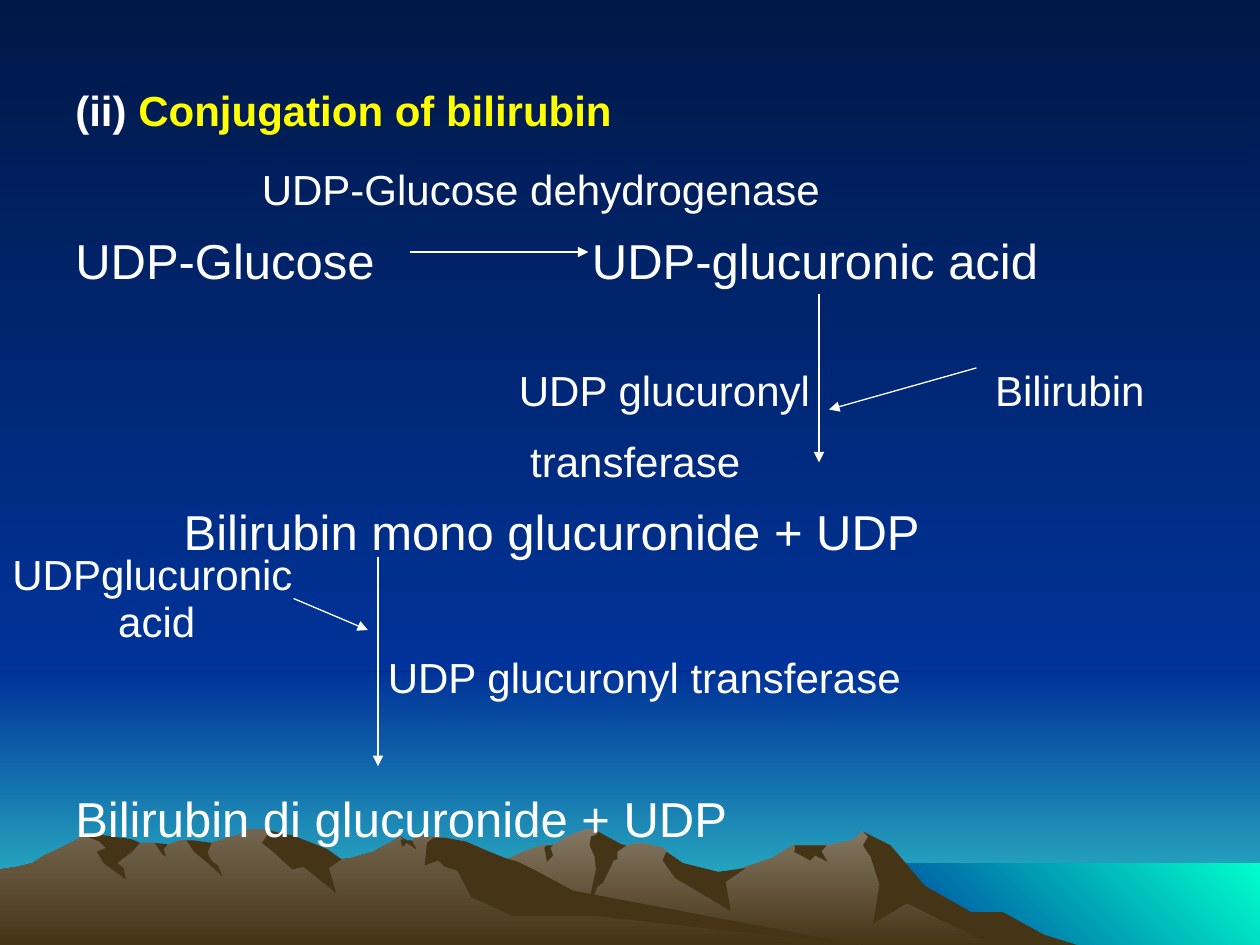
import dataclasses

import pptx
import pptx.dml.color
import pptx.enum.shapes
import pptx.oxml
import pptx.oxml.ns
import pptx.util

PX = 9144
WIDTH, HEIGHT = 1000, 750
DOWN, UP_RIGHT = 270, 45


@dataclasses.dataclass(frozen=True)
class Theme:
    font: str = "Arial"
    text: str = "FFFFFF"
    accent: str = "FFFF00"
    night: str = "001847"
    sea: str = "003399"
    horizon: str = "33CCCC"
    lagoon: str = "00FFCC"
    rock: str = "463416"
    slope: str = "73654F"
    far_slope: str = "847864"
    label: int = 24
    body: int = 28
    line: float = 0.75


THEME = Theme()

FAR_RIDGE = [
    (802, 740), (778, 727), (764, 723), (723, 698), (702, 671), (685, 660), (676, 667),
    (656, 671), (629, 671), (613, 681), (566, 697), (536, 690), (529, 676), (526, 673),
    (509, 669), (497, 671), (486, 673), (474, 661), (471, 658), (465, 658), (450, 664),
    (444, 668), (438, 671), (430, 671), (418, 675), (405, 681), (394, 685), (355, 698),
    (327, 709), (277, 739), (258, 751), (821, 751),
]
FAR_SHADOWS = [
    [(796, 724), (771, 724), (734, 703), (707, 671), (685, 660), (689, 664), (685, 671),
     (691, 680), (698, 702), (693, 733), (720, 717), (792, 752), (858, 751), (829, 742)],
    [(471, 658), (474, 662), (469, 664), (468, 671), (472, 680), (473, 690), (465, 727),
     (474, 704), (479, 700), (487, 683), (490, 682), (490, 676), (497, 671), (493, 670)],
    [(529, 676), (528, 678), (526, 683), (536, 697), (580, 723), (576, 700), (592, 689),
     (570, 692), (542, 685)],
    [(650, 671), (630, 671), (631, 672), (631, 675), (630, 676), (643, 683), (647, 679),
     (657, 684), (652, 676), (656, 671)],
    [(433, 677), (432, 673), (434, 671), (438, 671), (439, 670), (437, 673), (439, 679),
     (434, 684)],
]
NEAR_RIDGE = [
    (690, 751), (667, 748), (432, 712), (354, 665), (331, 663), (327, 668), (323, 668),
    (318, 664), (296, 676), (279, 681), (271, 682), (260, 676), (236, 681), (223, 663),
    (219, 660), (212, 658), (196, 658), (191, 662), (180, 665), (168, 669), (160, 671),
    (148, 667), (143, 667), (132, 671), (128, 671), (123, 669), (111, 669), (94, 671),
    (68, 662), (56, 669), (46, 674), (35, 679), (26, 685), (14, 688), (0, 690), (0, 751),
]
NEAR_SHADOWS = [
    [(212, 663), (208, 669), (219, 678), (232, 690), (241, 688), (267, 709), (261, 689),
     (271, 682), (260, 674), (245, 668), (232, 663), (226, 662), (213, 659)],
    [(370, 668), (354, 665), (344, 665), (339, 669), (337, 687), (348, 683), (353, 688),
     (363, 691), (374, 712), (407, 727), (472, 727), (690, 751), (683, 750), (455, 707),
     (427, 692), (411, 684), (401, 681), (386, 675)],
    [(318, 667), (320, 666), (318, 664), (323, 667), (327, 667), (330, 673), (330, 674),
     (326, 671), (322, 669), (321, 671), (319, 672)],
    [(154, 667), (168, 669), (165, 676), (166, 680), (169, 684), (173, 687), (176, 694),
     (176, 695), (165, 685), (154, 676), (148, 667)],
    [(133, 670), (130, 674), (132, 680), (129, 678), (126, 674), (123, 669)],
    [(109, 668), (111, 669), (105, 676), (93, 685), (98, 689), (100, 698), (82, 685),
     (77, 676), (84, 673), (79, 668), (69, 664), (69, 662), (83, 663), (104, 666)],
]

PATHWAY = [
    (0, THEME.label, [(0, "(ii) ", THEME.text), (0, "Conjugation of bilirubin", THEME.accent)]),
    (16.4, THEME.label, [(148, "UDP-Glucose dehydrogenase", None)]),
    (9.4, THEME.body, [(0, "UDP-Glucose", None), (410, "UDP-glucuronic acid", None)]),
    (42.9, THEME.label, [(352, "UDP glucuronyl", None), (730, "Bilirubin", None)]),
    (11.8, THEME.label, [(361, "transferase", None)]),
    (8.8, THEME.body, [(86, "Bilirubin mono glucuronide + UDP", None)]),
    (52.6, THEME.label, [(248, "UDP glucuronyl transferase", None)]),
    (49.4, THEME.body, [(0, "Bilirubin di glucuronide + UDP", None)]),
]
ARROWS = [
    (300, 442, 300, 608),
    (325, 200, 467, 200),
    (233, 475, 292, 500),
    (650, 200 + 33, 650, 367),
    (775, 292, 658, 325),
]


def color(value):
    return pptx.dml.color.RGBColor.from_string(value)


def add_element(parent, tag, **attributes):
    element = pptx.oxml.parse_xml(f"<{tag} {pptx.oxml.ns.nsdecls('a')}/>")
    for name, value in attributes.items():
        element.set(name, str(value))
    parent.append(element)
    return element


class Painter:
    def __init__(self, theme, page):
        self.theme = theme
        self.page = page

    def gradient(self, fill, start, end, angle=DOWN):
        fill.gradient()
        fill.gradient_angle = angle
        for stop, value in zip(fill.gradient_stops, (start, end)):
            stop.color.rgb = color(value)

    def finish(self, shape, colors, angle=DOWN):
        shape.shadow.inherit = False
        shape.line.fill.background()
        if len(colors) == 1:
            shape.fill.solid()
            shape.fill.fore_color.rgb = color(colors[0])
        else:
            self.gradient(shape.fill, *colors, angle)

    def band(self, left, top, width, height, colors, angle=DOWN):
        kind = pptx.enum.shapes.MSO_SHAPE.RECTANGLE
        frame = [length * PX for length in (left, top, width, height)]
        self.finish(self.page.shapes.add_shape(kind, *frame), colors, angle)

    def outline(self, points, *colors):
        builder = self.page.shapes.build_freeform(*points[0], scale=PX)
        builder.add_line_segments(points[1:], close=True)
        self.finish(builder.convert_to_shape(), colors)

    def arrow(self, *ends):
        kind = pptx.enum.shapes.MSO_CONNECTOR.STRAIGHT
        arrow = self.page.shapes.add_connector(kind, *(end * PX for end in ends))
        arrow.line.color.rgb = color(self.theme.text)
        arrow.line.width = pptx.util.Pt(self.theme.line)
        add_element(arrow.line._get_or_add_ln(), "a:tailEnd", type="triangle")
        add_element(arrow._element.spPr, "a:effectLst")

    def text_box(self, left, top, width, height):
        frame = [length * PX for length in (left, top, width, height)]
        box = self.page.shapes.add_textbox(*frame).text_frame
        box.word_wrap = True
        return box

    def style(self, para, size, bold=False):
        para.font.name = self.theme.font
        para.font.size = pptx.util.Pt(size)
        para.font.bold = bold
        para.font.color.rgb = color(self.theme.text)

    def pathway(self, left, top, width, height, rows):
        box = self.text_box(left, top, width, height)
        box.margin_top = 9 * PX
        for index, (gap, size, cells) in enumerate(rows):
            para = box.add_paragraph() if index else box.paragraphs[0]
            para.space_before = pptx.util.Pt(gap)
            stops = [stop for stop, _, _ in cells if stop]
            if stops:
                tabs = add_element(para._p.get_or_add_pPr(), "a:tabLst")
                for stop in stops:
                    add_element(tabs, "a:tab", pos=stop * PX, algn="l")
            self.style(para, size, bold=index == 0)
            for stop, words, tint in cells:
                span = para.add_run()
                span.text = f"\t{words}" if stop else words
                if tint:
                    span.font.color.rgb = color(tint)

    def hanging_label(self, left, top, width, height, words, indent):
        para = self.text_box(left, top, width, height).paragraphs[0]
        para.text = words
        para.line_spacing = 0.95
        properties = para._p.get_or_add_pPr()
        properties.set("marL", str(indent * PX))
        properties.set("indent", str(-indent * PX))
        self.style(para, self.theme.label)


def main():
    deck = pptx.Presentation()
    deck.slide_width, deck.slide_height = WIDTH * PX, HEIGHT * PX
    page = deck.slides.add_slide(deck.slide_layouts[6])
    painter = Painter(THEME, page)
    painter.gradient(page.background.fill, THEME.night, THEME.sea)
    painter.band(0, 533, WIDTH, 217, (THEME.sea, THEME.horizon))
    painter.band(0, 0, WIDTH, 533, (THEME.night, THEME.sea))
    painter.band(683, 685, 317, 67, (THEME.sea, THEME.lagoon), UP_RIGHT)
    painter.outline(FAR_RIDGE, THEME.far_slope, THEME.rock)
    for shadow in FAR_SHADOWS:
        painter.outline(shadow, THEME.rock)
    painter.outline(NEAR_RIDGE, THEME.slope, THEME.rock)
    for shadow in NEAR_SHADOWS:
        painter.outline(shadow, THEME.rock)
    painter.pathway(50, 58, 900, 612, PATHWAY)
    for ends in ARROWS:
        painter.arrow(*ends)
    painter.hanging_label(0, 433, 267, 82, "UDPglucuronic\vacid", 84)
    deck.save("out.pptx")


if __name__ == "__main__":
    main()
